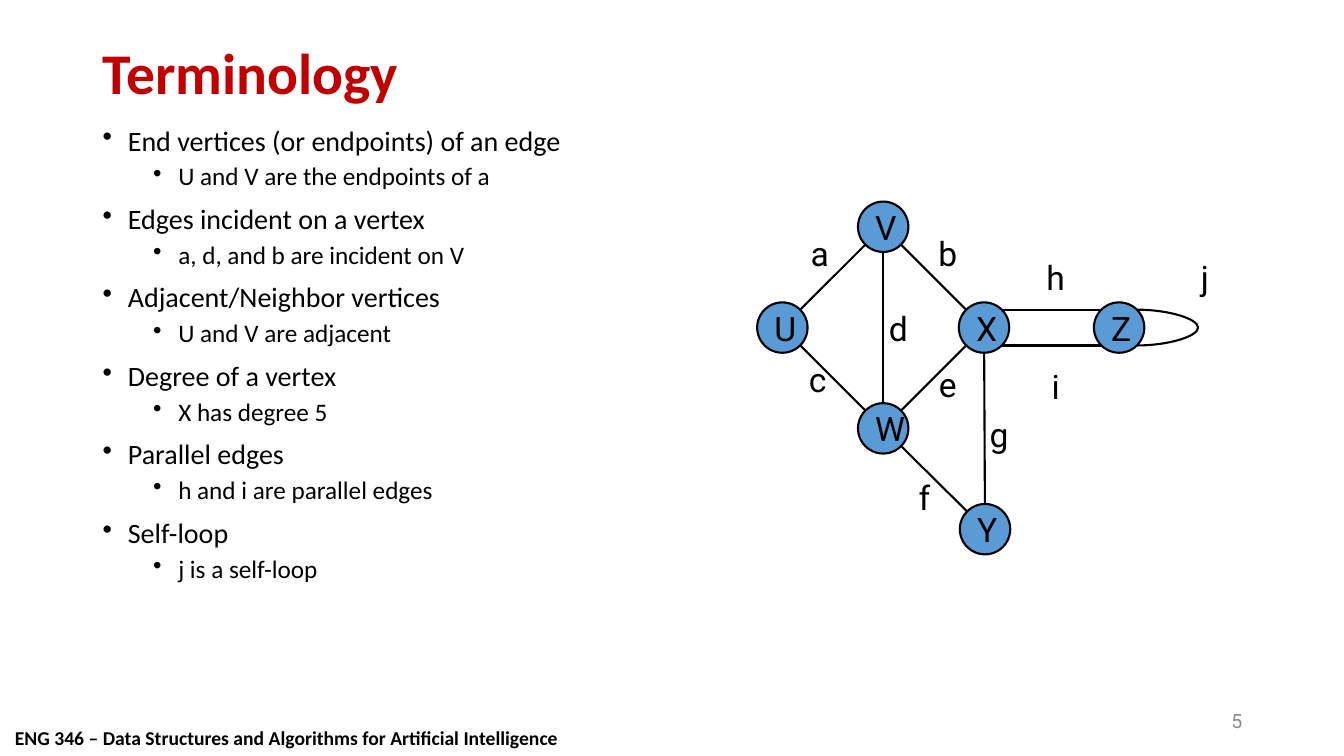
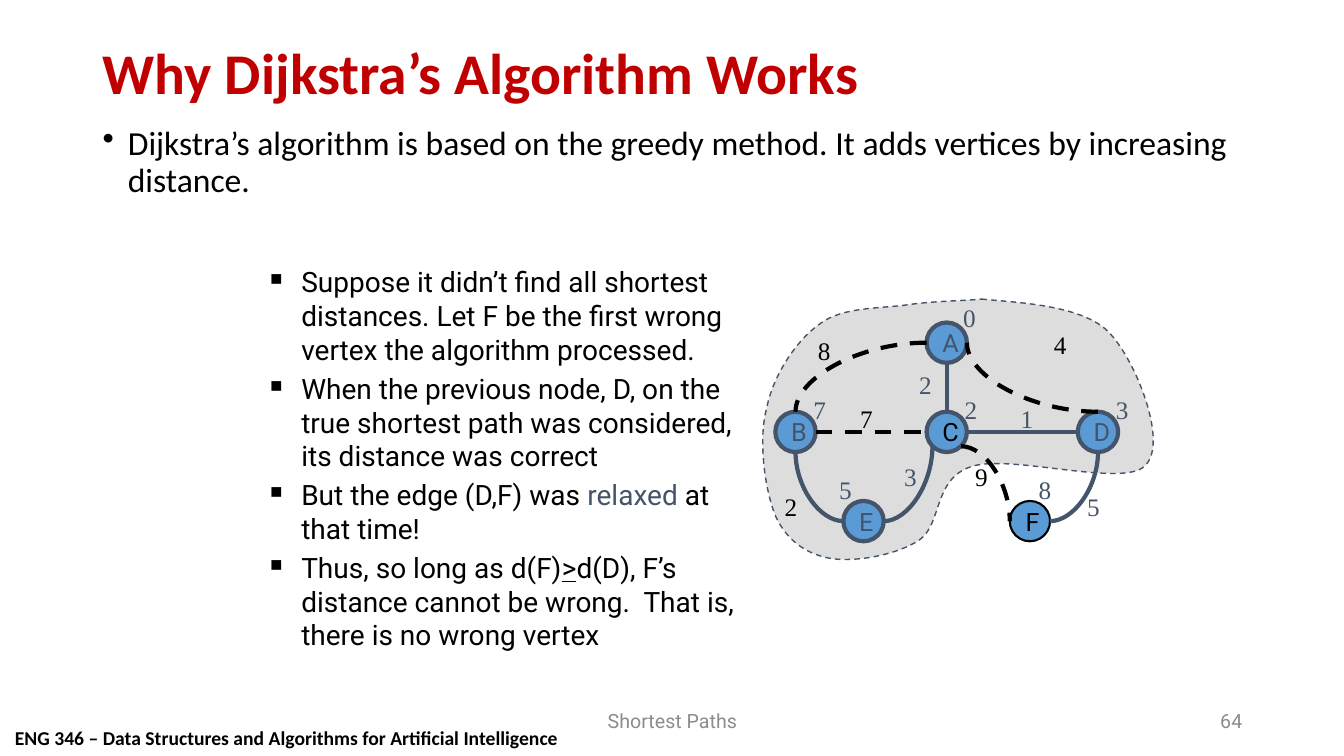
from dataclasses import dataclass
from math import hypot

from lxml.etree import SubElement
from pptx import Presentation
from pptx.dml.color import RGBColor
from pptx.enum.dml import MSO_LINE
from pptx.enum.shapes import MSO_CONNECTOR, MSO_SHAPE
from pptx.enum.text import MSO_ANCHOR, PP_ALIGN
from pptx.oxml.ns import qn
from pptx.util import Inches, Pt

WIDE, HIGH = 13.33, 7.5
BLACK, RED, BLUE, SLATE = "000000", "C00000", "5B9BD5", "44546A"
GREY, PALE = "8C8C8C", "DDDDDD"
SANS, ROBOTO, SERIF = "Calibri", "Roboto", "Times New Roman"
COURSE = "ENG 346 – Data Structures and Algorithms for Artificial Intelligence"

TITLE = (0.92, 0.4, 11.5, 0.7)
BODY = (0.92, 1.21, 11.5, 5.54)
FOOT = (4.42, 6.95, 4.5, 0.4)
NUMBER = (9.42, 6.95, 3, 0.4)
BAND = (0.05, 7.15, 5.63, 0.33)

TERMS = [
    ("End vertices (or endpoints) of an edge", "U and V are the endpoints of a"),
    ("Edges incident on a vertex", "a, d, and b are incident on V"),
    ("Adjacent/Neighbor vertices", "U and V are adjacent"),
    ("Degree of a vertex", "X has degree 5"),
    ("Parallel edges", "h and i are parallel edges"),
    ("Self-loop", "j is a self-loop"),
]
GREEDY = ("Dijkstra’s algorithm is based on the greedy method. "
          "It adds vertices by increasing distance.")
PROOF = [
    ["Suppose it didn’t find all shortest distances. Let F be the first "
     "wrong vertex the algorithm processed."],
    ["When the previous node, D, on the true shortest path was considered, "
     "its distance was correct"],
    ["But the edge (D,F) was ", "relaxed", " at that time!"],
    ["Thus, so long as d(F)", ">", "d(D), F’s distance cannot be wrong.  "
     "That is, there is no wrong vertex"],
]

# Outline of the finished vertices: a start, then Bézier triples, in grid cells
CLOUD = [
    (1.23, -0.49),
    (1.45, -0.45), (1.89, -0.43), (2.07, -0.12),
    (2.25, 0.19), (2.47, 1.13), (2.31, 1.38),
    (2.17, 1.63), (1.41, 1.24), (1.16, 1.39),
    (0.91, 1.53), (0.97, 2.03), (0.82, 2.21),
    (0.67, 2.38), (0.4, 2.46), (0.24, 2.42),
    (0.09, 2.38), (-0.05, 2.24), (-0.13, 1.95),
    (-0.2, 1.67), (-0.25, 1.1), (-0.19, 0.73),
    (-0.15, 0.38), (0, -0.02), (0.16, -0.21),
    (0.31, -0.41), (0.58, -0.38), (0.76, -0.43),
    (0.94, -0.47), (1.13, -0.47), (1.23, -0.49),
]


def color(code):
    return RGBColor.from_string(code)


def style(font, size, hue=BLACK, face=SANS, bold=False):
    font.size, font.name, font.bold = Pt(size), face, bold
    font.color.rgb = color(hue)


def stroke(line, hue, width, dashed=False):
    line.color.rgb = color(hue)
    line.width = Pt(width)
    if dashed:
        line.dash_style = MSO_LINE.DASH


def frame(slide, box, wrap=True, anchor=MSO_ANCHOR.TOP):
    area = slide.shapes.add_textbox(*map(Inches, box)).text_frame
    area.word_wrap, area.vertical_anchor = wrap, anchor
    return area


def caption(slide, box, text, size, hue=BLACK, face=SANS, bold=False,
            align=PP_ALIGN.LEFT, wrap=True):
    """Place one line of text, centred vertically in its box."""
    area = frame(slide, box, wrap, MSO_ANCHOR.MIDDLE)
    area.text = text
    para = area.paragraphs[0]
    para.alignment = align
    style(para.runs[0].font, size, hue, face, bold)
    return para


def bullet(para, mark, margin, hang, share=100):
    props = para._p.get_or_add_pPr()
    props.set("marL", str(Inches(margin)))
    props.set("indent", str(-Inches(hang)))
    SubElement(SubElement(props, qn("a:buClr")), qn("a:srgbClr"), val=BLACK)
    SubElement(props, qn("a:buSzPct"), val=str(share * 1000))
    SubElement(props, qn("a:buChar"), char=mark)


def lines(area, items):
    """Yield a paragraph for each item, adding them as needed."""
    for index, item in enumerate(items):
        yield index, area.add_paragraph() if index else area.paragraphs[0], item


def outline(slide, box, items):
    """Fill the body with (level, text, size) items."""
    area = frame(slide, box)
    for index, para, (level, text, size) in lines(area, items):
        para.text, para.level = text, level
        bullet(para, "•", 0.25 + level * 0.5, 0.25)
        para.line_spacing = 0.9
        para.space_before = Pt((10 - 5 * level) if index else 0)
        style(para.runs[0].font, size)


def proof(slide, box):
    area = frame(slide, box)
    for index, para, parts in lines(area, PROOF):
        para.level = 1
        bullet(para, "■", 0.81, 0.31, 60)
        para.space_before = Pt(4 if index else 0)
        for part in parts:
            run = para.add_run()
            run.text = part
            style(run.font, 20, SLATE if part == "relaxed" else BLACK, ROBOTO)
            run.font.underline = part == ">"


def curve(slide, points, hue, width, dashed=False, fill=None):
    """Draw a Bézier path: a start point, then triples of points."""
    spots = [(Inches(x), Inches(y)) for x, y in points]
    maker = slide.shapes.build_freeform(*spots[0])
    maker.add_line_segments(spots[1:], close=fill is not None)
    shape = maker.convert_to_shape()
    shape.shadow.inherit = False
    stroke(shape.line, hue, width, dashed)
    if fill:
        shape.fill.solid()
        shape.fill.fore_color.rgb = color(fill)
    else:
        shape.fill.background()
    track = next(shape._element.iter(qn("a:path")))
    steps = track.findall(qn("a:lnTo"))
    for first in range(0, len(steps), 3):
        bend = SubElement(track, qn("a:cubicBezTo"))
        steps[first].addprevious(bend)
        for step in steps[first:first + 3]:
            bend.append(step[0])
            track.remove(step)


@dataclass
class Graph:
    """Nodes on a grid whose first cell is centred at left, top."""
    slide: object
    left: float
    top: float
    col: float
    row: float
    radius: float
    size: int
    nodes: dict

    def at(self, col, row):
        return self.left + col * self.col, self.top + row * self.row

    def rim(self, name, across, down):
        x, y = self.at(*self.nodes[name])
        return x + across * self.radius, y + down * self.radius

    def node(self, name, hue, edge, width):
        x, y = self.rim(name, -1, -1)
        side = 2 * self.radius
        shape = self.slide.shapes.add_shape(
            MSO_SHAPE.OVAL, *map(Inches, (x, y, side, side)))
        shape.shadow.inherit = False
        shape.fill.solid()
        shape.fill.fore_color.rgb = color(BLUE)
        stroke(shape.line, edge, width)
        area = shape.text_frame
        area.word_wrap, area.vertical_anchor = False, MSO_ANCHOR.MIDDLE
        area.text = name
        area.paragraphs[0].alignment = PP_ALIGN.LEFT
        style(area.paragraphs[0].runs[0].font, self.size, hue, ROBOTO)

    def line(self, start, end, hue, width, dashed=False):
        link = self.slide.shapes.add_connector(
            MSO_CONNECTOR.STRAIGHT, *map(Inches, (*start, *end)))
        SubElement(link._element.spPr, qn("a:effectLst"))
        stroke(link.line, hue, width, dashed)

    def edge(self, first, last, hue, width, dashed=False):
        """Join two nodes from rim to rim."""
        x1, y1 = self.rim(first, 0, 0)
        x2, y2 = self.rim(last, 0, 0)
        span = hypot(x2 - x1, y2 - y1)
        across, down = (x2 - x1) / span, (y2 - y1) / span
        self.line(self.rim(first, across, down),
                  self.rim(last, -across, -down), hue, width, dashed)

    def arc(self, start, end, hue, dashed):
        """Leave the start sideways and reach the end upright."""
        (x1, y1), (x2, y2) = start, end
        points = [start, ((x1 + x2) / 2, y1), (x2, (y1 + y2) / 2), end]
        curve(self.slide, points, hue, 3, dashed)

    def label(self, text, col, row, hue=BLACK, face=ROBOTO):
        x, y = self.at(col, row)
        caption(self.slide, (x - 0.2, y - 0.25, 0.4, 0.5), text, self.size,
                hue, face, align=PP_ALIGN.CENTER, wrap=False)


def terms_graph(slide, left, top):
    graph = Graph(slide, left, top, 1, 1, 0.25, 24, {
        "X": (2, 1), "U": (0, 1), "V": (1, 0), "W": (1, 2),
        "Z": (3.34, 1), "Y": (2.01, 3)})
    for name in graph.nodes:
        graph.node(name, BLACK, BLACK, 1.5)
    for first, last in ("VU", "WU", "WX", "VX", "VW", "WY", "XY"):
        graph.edge(first, last, BLACK, 1.5)
    for down in (-0.71, 0.71):
        graph.line(graph.rim("X", 0.71, down), graph.rim("Z", -0.71, down),
                   BLACK, 1.5)
    loop = [(0.71, -0.71), (1.95, -0.71), (3.13, -0.35), (3.13, 0),
            (3.13, 0.35), (1.95, 0.71), (0.71, 0.71)]
    curve(slide, [graph.rim("Z", *spot) for spot in loop], BLACK, 1.5)
    for text, col, row in (
            ("a", 0.37, 0.26), ("c", 0.35, 1.51), ("b", 1.64, 0.26),
            ("e", 1.64, 1.56), ("d", 1.15, 1), ("f", 1.41, 2.68),
            ("g", 2.15, 2.06), ("h", 2.71, 0.5), ("i", 2.71, 1.58),
            ("j", 4.19, 0.5)):
        graph.label(text, col, row)


def paths_graph(slide, left, top):
    graph = Graph(slide, left, top, 1.5, 0.885, 0.2, 18, {
        "C": (1, 1), "B": (0, 1), "A": (1, 0), "E": (0.45, 2),
        "D": (2, 1), "F": (1.55, 2)})
    curve(slide, [graph.at(*spot) for spot in CLOUD], SLATE, 1, True, PALE)
    for name in graph.nodes:
        wrong = name == "F"
        graph.node(name, BLACK if name in "CF" else SLATE,
                   BLACK if wrong else SLATE, 1.5 if wrong else 3)
    for first, last, dashed in (("A", "C", False), ("B", "C", True),
                                ("C", "D", False)):
        graph.edge(first, last, BLACK if dashed else SLATE, 3, dashed)
    for start, end, dashed in (
            (("A", -1, 0), ("B", 0, -1), True),
            (("E", -1, 0), ("B", 0, 1), False),
            (("E", 1, 0), ("C", -0.71, 0.71), False),
            (("F", 1, 0), ("D", 0, 1), False),
            (("D", 0, -1), ("A", 1, 0), True),
            (("C", 0.71, 0.71), ("F", -1, 0), True)):
        graph.arc(graph.rim(*start), graph.rim(*end),
                  BLACK if dashed else SLATE, dashed)
    weights = {
        SLATE: [("0", 1.15, -0.28), ("3", 2.16, 0.75), ("2", 1.16, 0.75),
                ("7", 0.16, 0.75), ("5", 0.33, 1.64), ("8", 1.65, 1.64),
                ("1", 1.53, 0.85), ("5", 1.97, 1.84), ("2", 0.86, 0.47),
                ("3", 0.76, 1.5)],
        BLACK: [("4", 1.75, 0.02), ("8", 0.19, 0.09), ("7", 0.47, 0.85),
                ("2", -0.03, 1.84), ("9", 1.23, 1.5)],
    }
    for hue, marks in weights.items():
        for text, col, row in marks:
            graph.label(text, col, row, hue, SERIF)


def page(deck, title, number, foot=None):
    """Add a slide with the shared title, band and footers."""
    slide = deck.slides.add_slide(deck.slide_layouts[6])
    caption(slide, BAND, COURSE, 14, bold=True, wrap=False)
    caption(slide, TITLE, title, 41.1, RED, bold=True).line_spacing = 0.9
    if foot:
        caption(slide, FOOT, foot, 14, GREY, ROBOTO, align=PP_ALIGN.CENTER)
    caption(slide, NUMBER, number, 14, GREY, ROBOTO, align=PP_ALIGN.RIGHT)
    return slide


def main():
    deck = Presentation()
    deck.slide_width, deck.slide_height = Inches(WIDE), Inches(HIGH)

    slide = page(deck, "Terminology", "5")
    outline(slide, BODY, [(level, text, 20 - 2 * level)
                          for pair in TERMS for level, text in enumerate(pair)])
    terms_graph(slide, 7.76, 2.25)

    slide = page(deck, "Why Dijkstra’s Algorithm Works", "64", "Shortest Paths")
    outline(slide, BODY, [(0, GREEDY, 24)])
    paths_graph(slide, 7.89, 3.4)
    proof(slide, (2.08, 2.58, 5.35, 4.27))

    deck.save("out.pptx")


if __name__ == "__main__":
    main()
